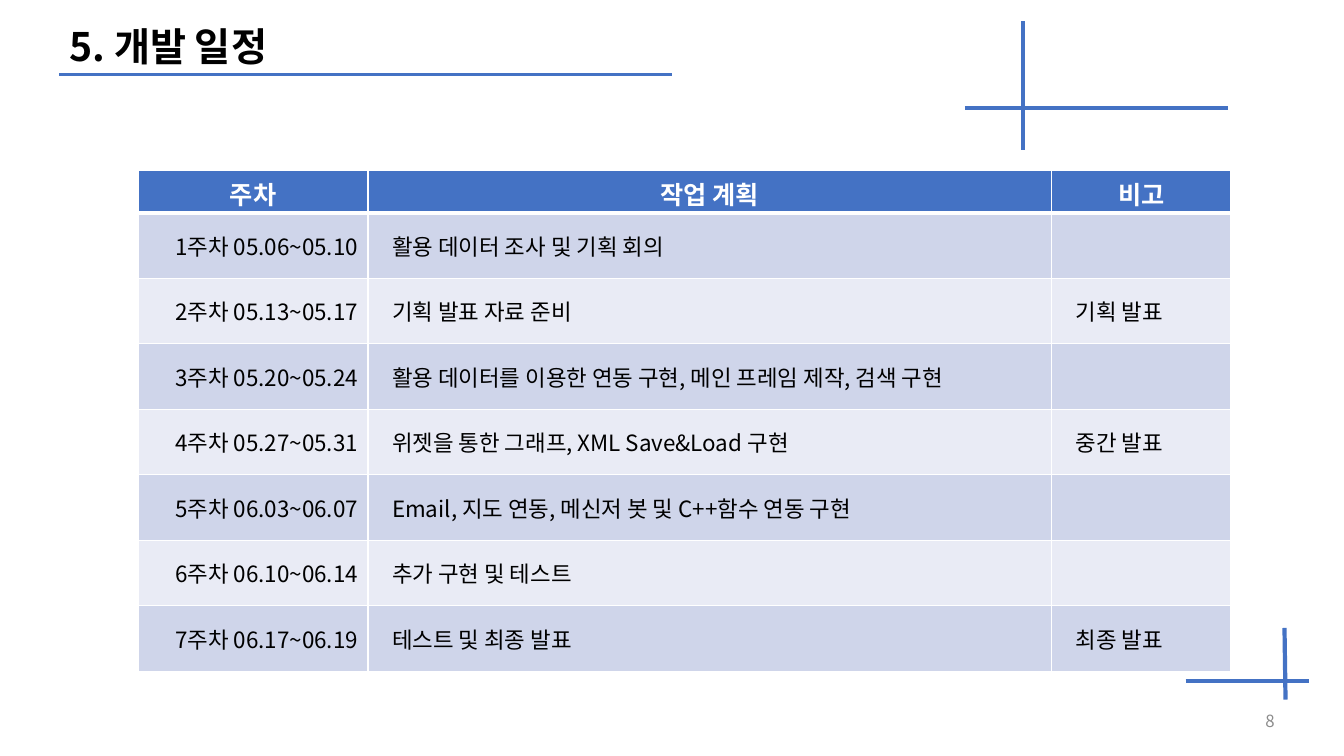
from lxml import etree
from pptx import Presentation
from pptx.dml.color import RGBColor
from pptx.enum.shapes import MSO_CONNECTOR
from pptx.enum.text import MSO_ANCHOR, PP_ALIGN
from pptx.oxml.ns import qn
from pptx.util import Inches, Pt

LEFT, CENTER, RIGHT = PP_ALIGN.LEFT, PP_ALIGN.CENTER, PP_ALIGN.RIGHT
MIDDLE = MSO_ANCHOR.MIDDLE
STRAIGHT = MSO_CONNECTOR.STRAIGHT
FONT = "Noto Sans CJK KR"
BLUE, WHITE, BLACK, GRAY = "4472C4", "FFFFFF", "000000", "8C8C8C"
BANDS = ("CFD5EA", "E9EBF5")

HEADINGS = ("주차", "작업 계획", "비고")
SCHEDULE = (
    ("1주차 05.06~05.10", "활용 데이터 조사 및 기획 회의", ""),
    ("2주차 05.13~05.17", "기획 발표 자료 준비", "기획 발표"),
    ("3주차 05.20~05.24", "활용 데이터를 이용한 연동 구현, 메인 프레임 제작, 검색 구현", ""),
    ("4주차 05.27~05.31", "위젯을 통한 그래프, XML Save&Load 구현", "중간 발표"),
    ("5주차 06.03~06.07", "Email, 지도 연동, 메신저 봇 및 C++함수 연동 구현", ""),
    ("6주차 06.10~06.14", "추가 구현 및 테스트", ""),
    ("7주차 06.17~06.19", "테스트 및 최종 발표", "최종 발표"),
)
COLUMN_WIDTHS = (2.28, 6.78, 1.78)
HEADER_HEIGHT = 0.42


def color(value):
    return RGBColor.from_string(value)


def write_text(frame, text, size, text_color, align=LEFT, bold=False):
    frame.text = text
    para = frame.paragraphs[0]
    para.alignment = align
    for span in para.runs:
        span.font.name = FONT
        span.font.size = Pt(size)
        span.font.bold = bold
        span.font.color.rgb = color(text_color)
        # East Asian font for the Korean letters
        etree.SubElement(span.font._element, qn("a:ea"), typeface=FONT)
    return para


def add_text(slide, box, text, size, text_color, align=LEFT, bold=False):
    frame = slide.shapes.add_textbox(*map(Inches, box)).text_frame
    frame.word_wrap = True
    frame.vertical_anchor = MIDDLE
    return write_text(frame, text, size, text_color, align, bold)


def add_line(slide, start, end, width):
    line = slide.shapes.add_connector(STRAIGHT, *map(Inches, start + end))
    line.line.color.rgb = color(BLUE)
    line.line.width = Pt(width)
    etree.SubElement(line._element.spPr, qn("a:effectLst"))


def add_cross(slide, box, across, down, lean=0):
    """Two crossing lines; across and down give the offsets of their crossing."""
    left, top, width, height = box
    add_line(slide, (left, top + down), (left + width, top + down), 3)
    add_line(slide, (left + across, top), (left + across + lean, top + height), 3)


def add_title(slide, box):
    left, top, width, height = box
    add_line(slide, (left, top + 0.53), (left + 6.08, top + 0.53), 2)
    add_text(slide, box, "5. 개발 일정", 28, BLACK, bold=True).line_spacing = 0.9


def add_border(cell, edge, width):
    line = etree.SubElement(cell._tc.get_or_add_tcPr(), qn("a:" + edge), w=str(Pt(width)))
    fill = etree.SubElement(line, qn("a:solidFill"))
    etree.SubElement(fill, qn("a:srgbClr"), val=WHITE)


def style_cell(cell, fill, top, bottom):
    cell.vertical_anchor = MIDDLE
    for edge, width in (("lnL", 1), ("lnR", 1), ("lnT", top), ("lnB", bottom)):
        add_border(cell, edge, width)
    cell.fill.solid()
    cell.fill.fore_color.rgb = color(fill)


def add_schedule(slide, box):
    rows = (HEADINGS,) + SCHEDULE
    frame = slide.shapes.add_table(len(rows), len(HEADINGS), *map(Inches, box))
    table = frame.table
    for column, width in zip(table.columns, COLUMN_WIDTHS):
        column.width = Inches(width)
    body_height = (box[3] - HEADER_HEIGHT) / len(SCHEDULE)

    for row_number, texts in enumerate(rows):
        header = row_number == 0
        table.rows[row_number].height = Inches(HEADER_HEIGHT if header else body_height)
        fill = BLUE if header else BANDS[(row_number - 1) % 2]
        for column_number, text in enumerate(texts):
            cell = table.cell(row_number, column_number)
            style_cell(cell, fill, 3 if row_number == 1 else 1, 3 if header else 1)
            if header:
                write_text(cell.text_frame, text, 18, WHITE, CENTER, True)
            elif column_number == 0:
                write_text(cell.text_frame, text, 16, BLACK, RIGHT)
            elif text:
                cell.margin_left = Inches(0.24)
                write_text(cell.text_frame, text, 16, BLACK)


def build_schedule_slide(deck):
    slide = deck.slides.add_slide(deck.slide_layouts[6])
    # Corner decorations
    add_cross(slide, (9.57, 0.21, 2.61, 1.28), 0.58, 0.86)
    add_cross(slide, (11.76, 6.23, 1.22, 0.71), 0.98, 0.53, 0.01)
    # Title, schedule and page number
    add_title(slide, (0.59, 0.21, 9.06, 0.54))
    add_schedule(slide, (1.37, 1.69, 10.84, 4.97))
    add_text(slide, (9.57, 6.95, 3.17, 0.4), "8", 12, GRAY, RIGHT)


def main():
    deck = Presentation()
    deck.slide_width, deck.slide_height = Inches(13.33), Inches(7.5)
    build_schedule_slide(deck)
    deck.save("out.pptx")


if __name__ == "__main__":
    main()
